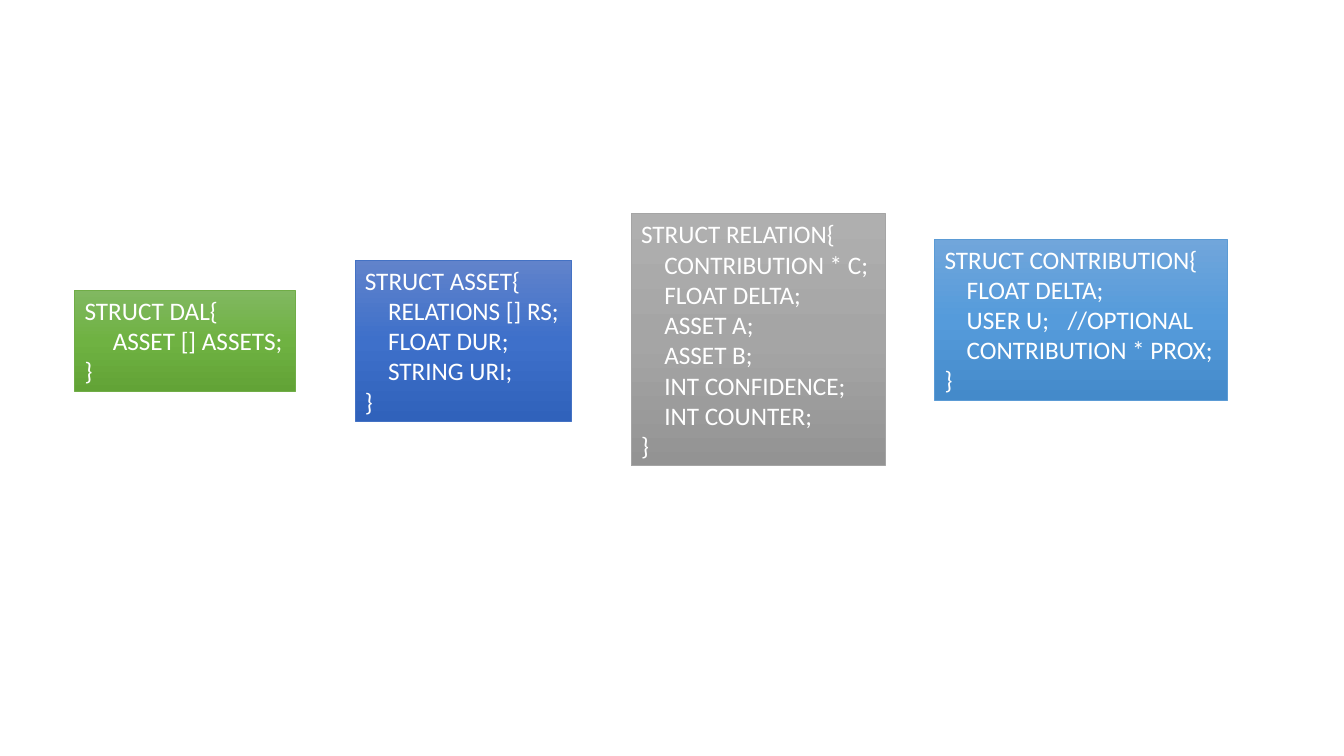
import copy
import pptx
import pptx.util
import pptx.dml.color
import pptx.enum.shapes
import pptx.enum.text
import pptx.oxml
import pptx.oxml.ns

Inches = pptx.util.Inches
Pt = pptx.util.Pt
RGB = pptx.dml.color.RGBColor.from_string
qn = pptx.oxml.ns.qn

hues = {
    "green": ("81B861", "6FB242", "62A336", "70AD47"),
    "blue": ("6183CB", "3E70CA", "3062BB", "4472C4"),
    "gray": ("AFAFAF", "A5A5A5", "939393", "A5A5A5"),
    "sky": ("71A6DB", "559BDB", "448ACA", "5B9BD5"),
    "white": "FFFFFF",
}
structs = [
    ("DAL", "green", 0.74, 2.88, 2.19, 0.28, ["ASSET [] ASSETS;"]),
    ("ASSET", "blue", 3.52, 2.58, 2.15, 0.23,
     ["RELATIONS [] RS;", "FLOAT DUR;", "STRING URI;"]),
    ("RELATION", "gray", 6.26, 2.12, 2.52, 0.23,
     ["CONTRIBUTION * C;", "FLOAT DELTA;", "ASSET A;", "ASSET B;",
      "INT CONFIDENCE;", "INT COUNTER;"]),
    ("CONTRIBUTION", "sky", 9.27, 2.37, 2.9, 0.22,
     ["FLOAT DELTA;", "USER U;\t//OPTIONAL", "CONTRIBUTION * PROX;"]),
]
frame_look = {
    "word_wrap": False,
    "auto_size": pptx.enum.text.MSO_AUTO_SIZE.SHAPE_TO_FIT_TEXT,
    "vertical_anchor": pptx.enum.text.MSO_ANCHOR.TOP,
}
font_look = {"name": "Calibri", "size": Pt(18)}
note_tab = 1.29

deck = pptx.Presentation()
deck.slide_width = Inches(13.33)
deck.slide_height = Inches(7.5)
slide = deck.slides.add_slide(deck.slide_layouts[6])

for name, hue, left, top, width, indent, fields in structs:
    lines = [f"STRUCT {name}{{", *fields, "}"]
    height = 0.1 + 0.3 * len(lines)
    box = slide.shapes.add_shape(
        pptx.enum.shapes.MSO_SHAPE.RECTANGLE, Inches(left),
        Inches(top), Inches(width), Inches(height))
    box.shadow.inherit = False
    *shades, edge = hues[hue]
    box.line.color.rgb = RGB(edge)
    box.line.width = Pt(0.5)

    box.fill.gradient()
    box.fill.gradient_angle = 270
    first = next(box.element.iter(qn("a:gs")))
    first.addnext(copy.deepcopy(first))
    for stop, shade, place in zip(box.fill.gradient_stops, shades, (0, 0.5, 1)):
        stop.color.rgb = RGB(shade)
        stop.position = place

    frame = box.text_frame
    for key, value in frame_look.items():
        setattr(frame, key, value)
    for row, line in enumerate(lines):
        para = frame.paragraphs[0] if row == 0 else frame.add_paragraph()
        para.alignment = pptx.enum.text.PP_ALIGN.LEFT
        props = para._p.get_or_add_pPr()
        if line in fields:
            props.set("marL", str(Inches(indent)))
            props.set("indent", "0")
        if "\t" in line:
            tabs = pptx.oxml.parse_xml(
                f'<a:tabLst {pptx.oxml.ns.nsdecls("a")}>'
                f'<a:tab pos="{Inches(note_tab)}" algn="l"/></a:tabLst>')
            props.append(tabs)
        run = para.add_run()
        run.text = line
        for key, value in font_look.items():
            setattr(run.font, key, value)
        run.font.color.rgb = RGB(hues["white"])

deck.save("out.pptx")
